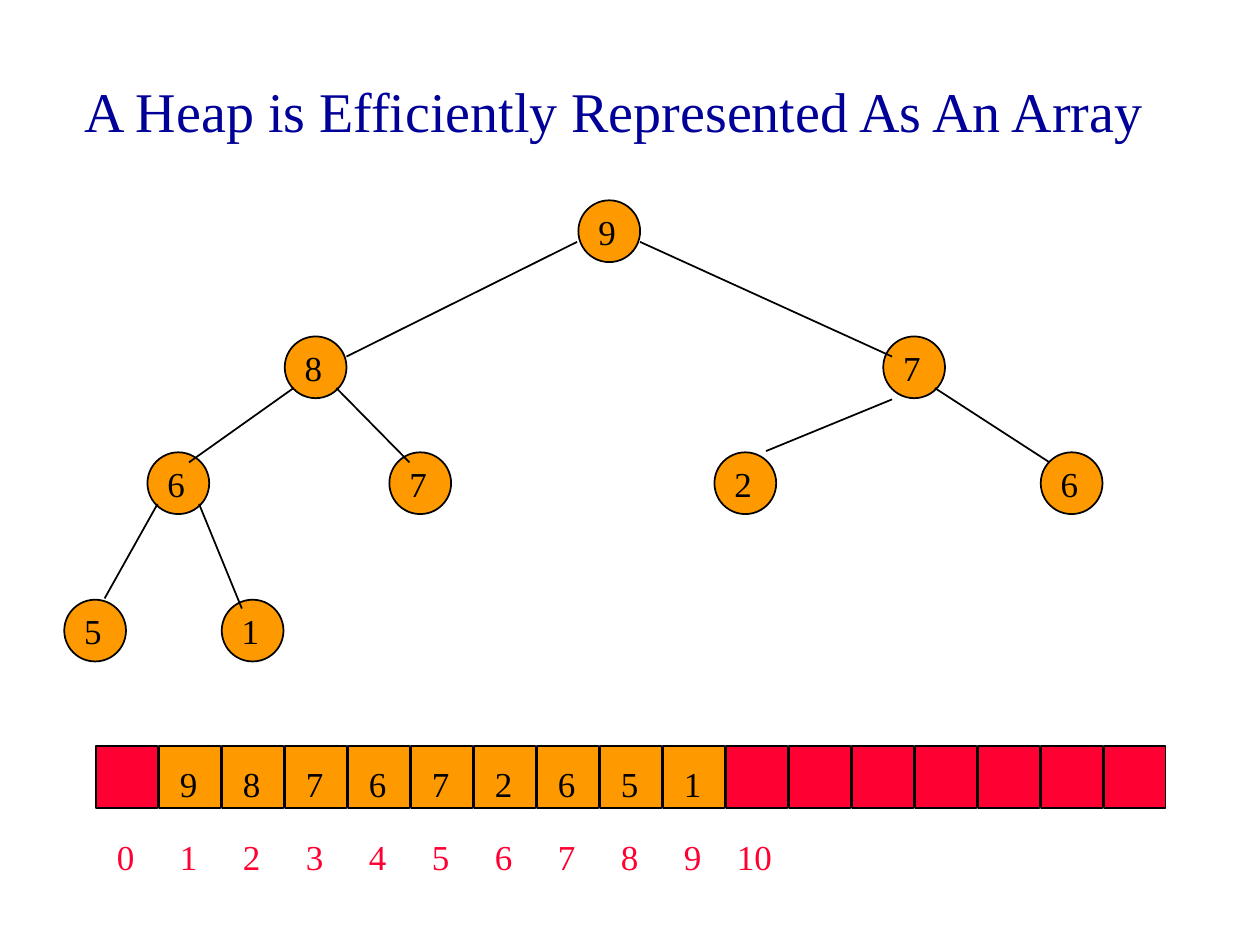
from lxml import etree
from pptx import Presentation
from pptx.dml.color import RGBColor
from pptx.enum import shapes, text
from pptx.util import Inches, Pt

TITLE = "A Heap is Efficiently Represented As An Array"
HEAP = [9, 8, 7, 6, 7, 2, 6, 5, 1]
CELLS = 17
LABELS = 11
SPOTS = [(4.59, 1.59), (2.26, 2.67), (7.01, 2.67),
         (1.17, 3.59), (3.09, 3.59), (5.67, 3.59), (8.26, 3.59),
         (0.51, 4.76), (1.76, 4.76)]
EDGES = [(4.58, 1.92, 2.75, 2.83), (5.08, 1.92, 7.08, 2.83),
         (2.33, 3.08, 1.5, 3.67), (2.67, 3.08, 3.25, 3.67),
         (7.08, 3.17, 6.08, 3.58), (7.42, 3.08, 8.33, 3.67),
         (1.25, 4, 0.83, 4.75), (1.58, 4, 1.92, 4.83)]
COLORS = {"used": "FF9900", "free": "FF0033", "ink": "000000", "title": "000099"}
SIZE, STEP, LEFT, TOP = 0.49, 0.5, 0.76, 5.92
NS = "http://schemas.openxmlformats.org/drawingml/2006/main"


def color(name):
    return RGBColor.from_string(COLORS[name])


def outline(line):
    line.color.rgb = color("ink")
    line.width = Pt(1)


def node(home, kind, x, y, fill):
    shape = home.add_shape(kind, *map(Inches, (x, y, SIZE, SIZE)))
    shape.shadow.inherit = False
    shape.fill.solid()
    shape.fill.fore_color.rgb = color(fill)
    outline(shape.line)


def edge(home, ends):
    line = home.add_connector(shapes.MSO_CONNECTOR.STRAIGHT, *map(Inches, ends))
    outline(line.line)
    etree.SubElement(line._element.spPr, f"{{{NS}}}effectLst")


def label(home, words, box, ink="ink", size=20, wrap=True, **form):
    frame = home.add_textbox(*map(Inches, box)).text_frame
    frame.word_wrap = wrap
    for key, value in form.items():
        setattr(frame, key, value)
    para = frame.paragraphs[0]
    para.text = str(words)
    for key, value in {"name": "Times New Roman", "size": Pt(size)}.items():
        setattr(para.font, key, value)
    para.font.color.rgb = color(ink)
    return para


deck = Presentation()
deck.slide_width, deck.slide_height = Inches(10), Inches(7.5)
slide = deck.slides.add_slide(deck.slide_layouts[6])
board = slide.shapes

for i in range(CELLS):
    fill = "used" if 1 <= i <= len(HEAP) else "free"
    node(board, shapes.MSO_SHAPE.RECTANGLE, LEFT + i * STEP, TOP, fill)

for i, value in enumerate(HEAP, 1):
    label(board, value, (0.83 + i * STEP, 6, 0.33, 0.43))

for i in range(LABELS):
    x, wide = (0.83, 0.33) if i < 10 else (0.75, 0.58)
    label(board, i, (x + i * STEP, 6.58, wide, 0.43), "free")

head = label(board, TITLE, (0, 0.25, 9.75, 1.25), "title", 32,
             vertical_anchor=text.MSO_ANCHOR.MIDDLE)
head.alignment = text.PP_ALIGN.CENTER

tree = board.add_group_shape().shapes
for x, y in SPOTS:
    node(tree, shapes.MSO_SHAPE.OVAL, x, y, "used")
for ends in EDGES:
    edge(tree, ends)
for value, (x, y) in zip(HEAP, SPOTS):
    label(tree, value, (x + 0.06, y + 0.03, 0.34, 0.43), wrap=False)

deck.save("out.pptx")
